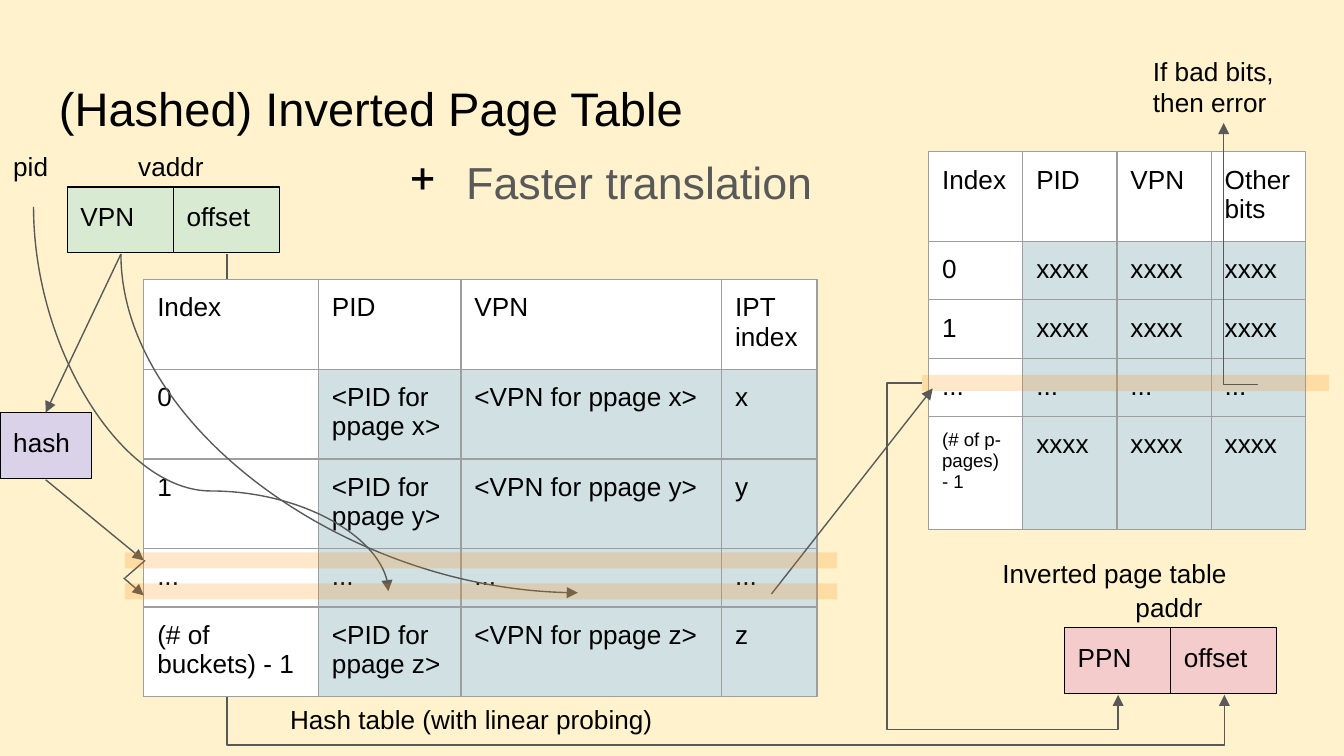
import dataclasses

import lxml.etree
import pptx
import pptx.dml.color
import pptx.enum.shapes
import pptx.enum.text
import pptx.oxml.ns
import pptx.util

qn = pptx.oxml.ns.qn
KINDS = pptx.enum.shapes.MSO_CONNECTOR
ANCHOR = pptx.enum.text.MSO_ANCHOR


@dataclasses.dataclass(frozen=True)
class Theme:
    font: str = "Arial"
    title: float = 25.2
    lead: float = 24
    text: float = 14
    small: float = 10
    thin: float = 0.75
    back: str = "FFF2CC"
    ink: str = "000000"
    gray: str = "595959"
    rule: str = "9E9E9E"
    plain: str = "FFFFFF"
    teal: str = "D0E0E3"
    green: str = "D9EAD3"
    pink: str = "F4CCCC"
    mauve: str = "D9D2E9"
    glow: str = "FF8700"


THEME = Theme()


def grid(num):
    """Length of num grid steps; the slide has 100 columns and 56.2 rows."""
    return pptx.util.Inches(num / 10)


def color(code):
    return pptx.dml.color.RGBColor.from_string(code)


def node(parent, tag, **attrs):
    return lxml.etree.SubElement(parent, qn(tag), **attrs)


def write(frame, text, size=THEME.text, ink=THEME.ink):
    frame.word_wrap = True
    run = frame.paragraphs[0].add_run()
    run.text = text
    run.font.name = THEME.font
    run.font.size = pptx.util.Pt(size)
    run.font.color.rgb = color(ink)


def inset(item):
    item.margin_left = item.margin_right = grid(1)
    item.margin_top = item.margin_bottom = grid(1)


def label(slide, area, text, size=THEME.text, ink=THEME.ink, anchor=ANCHOR.TOP):
    frame = slide.shapes.add_textbox(*map(grid, area)).text_frame
    inset(frame)
    frame.vertical_anchor = anchor
    write(frame, text, size, ink)
    return frame


def bullet(para, mark):
    props = para._p.get_or_add_pPr()
    props.set("marL", str(grid(5)))
    props.set("indent", str(grid(-4.2)))
    tint = node(props, "a:buClr")
    node(tint, "a:srgbClr", val=THEME.ink)
    node(props, "a:buChar", char=mark)


def block(slide, area, fill):
    kind = pptx.enum.shapes.MSO_SHAPE.RECTANGLE
    shape = slide.shapes.add_shape(kind, *map(grid, area))
    shape.shadow.inherit = False
    shape.fill.solid()
    shape.fill.fore_color.rgb = color(fill)
    return shape


def field(slide, area, text, fill):
    shape = block(slide, area, fill)
    shape.line.color.rgb = color(THEME.ink)
    shape.line.width = pptx.util.Pt(THEME.thin)
    inset(shape.text_frame)
    shape.text_frame.vertical_anchor = ANCHOR.TOP
    shape.text_frame.paragraphs[0].alignment = pptx.enum.text.PP_ALIGN.LEFT
    write(shape.text_frame, text)


def pair(slide, left, top, names, fill):
    """Address made of two equal fields side by side."""
    wide = 7.9
    for num, name in enumerate(names):
        field(slide, (left + num * wide, top, wide, 4.9), name, fill)


def band(slide, left, top, wide):
    shape = block(slide, (left, top, wide, 1.2), THEME.glow)
    shape.line.fill.background()
    tint = shape._element.spPr.find(qn("a:solidFill")).find(qn("a:srgbClr"))
    node(tint, "a:alpha", val="20000")


def link(slide, start, end, kind=KINDS.STRAIGHT, head=True):
    line = slide.shapes.add_connector(kind, *map(grid, (*start, *end)))
    line.line.color.rgb = color(THEME.gray)
    line.line.width = pptx.util.Pt(THEME.thin)
    props = line._element.spPr
    if head:
        node(props.find(qn("a:ln")), "a:tailEnd", type="triangle")
    node(props, "a:effectLst")
    return line


def route(slide, area, kind, form, bends=(), turn=0):
    """Bent or curved arrow; area is its frame before the turn in degrees."""
    left, top, wide, high = area
    line = link(slide, (left, top), (left + wide, top + high), kind)
    props = line._element.spPr
    if turn:
        frame = props.find(qn("a:xfrm"))
        frame.set("rot", str(turn * 60000))
        frame.set("flipH", "1")
    geom = props.find(qn("a:prstGeom"))
    geom.set("prst", form)
    guides = geom.find(qn("a:avLst"))
    if guides is None:
        guides = node(geom, "a:avLst")
    for num, bend in enumerate(bends, 1):
        name = "adj" if len(bends) == 1 and form.endswith("2") else f"adj{num}"
        node(guides, "a:gd", name=name, fmla=f"val {round(bend * 1000)}")


def border(cell):
    props = cell._tc.get_or_add_tcPr()
    for num, side in enumerate("LRTB"):
        edge = node(props, f"a:ln{side}", w=str(pptx.util.Pt(THEME.thin)))
        node(node(edge, "a:solidFill"), "a:srgbClr", val=THEME.rule)
        props.insert(num, edge)


def table(slide, left, top, cols, highs, rows):
    """Page table: white header row and index column, teal entries."""
    area = map(grid, (left, top, sum(cols), sum(highs)))
    chart = slide.shapes.add_table(len(rows), len(cols), *area).table
    chart.first_row = chart.horz_banding = False
    for col, wide in zip(chart.columns, cols):
        col.width = grid(wide)
    for row, high, texts in zip(chart.rows, highs, rows):
        row.height = grid(high)
        for num, (cell, text) in enumerate(zip(row.cells, texts)):
            inset(cell)
            head = num == 0 or texts is rows[0]
            cell.fill.solid()
            cell.fill.fore_color.rgb = color(THEME.plain if head else THEME.teal)
            border(cell)
            tight = text.startswith("(# of p-")
            write(cell.text_frame, text, THEME.small if tight else THEME.text)


def main():
    deck = pptx.Presentation()
    deck.slide_width, deck.slide_height = grid(100), grid(56.25)
    slide = deck.slides.add_slide(deck.slide_layouts[6])
    slide.background.fill.solid()
    slide.background.fill.fore_color.rgb = color(THEME.back)

    label(slide, (3.4, 4.9, 93.2, 6.3), "(Hashed) Inverted Page Table",
          THEME.title, anchor=ANCHOR.MIDDLE)
    pair(slide, 5, 13.9, ("VPN", "offset"), THEME.green)
    label(slide, (9.3, 10.2, 7.9, 5.2), "vaddr")

    entry, dots = ["xxxx"] * 3, ["..."] * 4
    table(slide, 69.1, 11.3, [7.01] * 4, [4.9, 3.2, 3.2, 3.2, 8.4], [
        ["Index", "PID", "VPN", "Other bits"],
        ["0", *entry], ["1", *entry], dots,
        ["(# of p- pages) - 1", *entry]])
    label(slide, (20.6, 51.3, 30.3, 4.9), "Hash table (with linear probing)")
    pair(slide, 79.2, 46.7, ("PPN", "offset"), THEME.pink)
    label(slide, (83.5, 43, 7.9, 5.2), "paddr")
    route(slide, (68.6, 28.5, 14.6, 23.2), KINDS.ELBOW, "bentConnector4",
          (-17.9, 111.2))
    route(slide, (37.6, -1.8, 32.8, 74.2), KINDS.ELBOW, "bentConnector3",
          (111.4,), 270)
    band(slide, 68.6, 27.9, 30.3)
    label(slide, (0, 10.2, 5, 5.2), "pid")
    label(slide, (84.8, 3.1, 12.5, 6.1), "If bad bits, then error")
    route(slide, (82.6, 17.6, 19.4, 2.5), KINDS.ELBOW, "bentConnector3",
          (-0.3,), 90)

    hashed = [[num, f"<PID for ppage {key}>", f"<VPN for ppage {key}>", key]
              for num, key in (("0", "x"), ("1", "y"), ("(# of buckets) - 1", "z"))]
    table(slide, 10.7, 20.8, [13, 10.6, 19.4, 7.1], [2.5, 3.8, 3.8, 2.5, 3.8], [
        ["Index", "PID", "VPN", "IPT index"], *hashed[:2], dots, hashed[2]])
    link(slide, (57.4, 44.2), (69.4, 28.9))
    route(slide, (1.4, 16.5, 28.6, 26.4), KINDS.CURVE, "curvedConnector3",
          (73.9,), 270)
    route(slide, (13.4, 14.5, 25.2, 34), KINDS.CURVE, "curvedConnector2", turn=270)
    field(slide, (0, 30.7, 6.8, 4.9), "hash", THEME.mauve)
    link(slide, (9, 18.9), (3.4, 30.7))
    link(slide, (3.4, 35.7), (10.7, 41.7))
    link(slide, (9.2, 43), (10.7, 44.3))
    link(slide, (10.8, 41.7), (9.3, 43), head=False)
    for top in (41.1, 43.4):
        band(slide, 9.3, top, 53)
    label(slide, (73.6, 40.5, 19, 4.9), "Inverted page table")
    lead = label(slide, (28.7, 10.2, 33.9, 6.6), "Faster translation",
                 THEME.lead, THEME.gray, ANCHOR.MIDDLE)
    bullet(lead.paragraphs[0], "+")
    deck.save("out.pptx")


if __name__ == "__main__":
    main()
